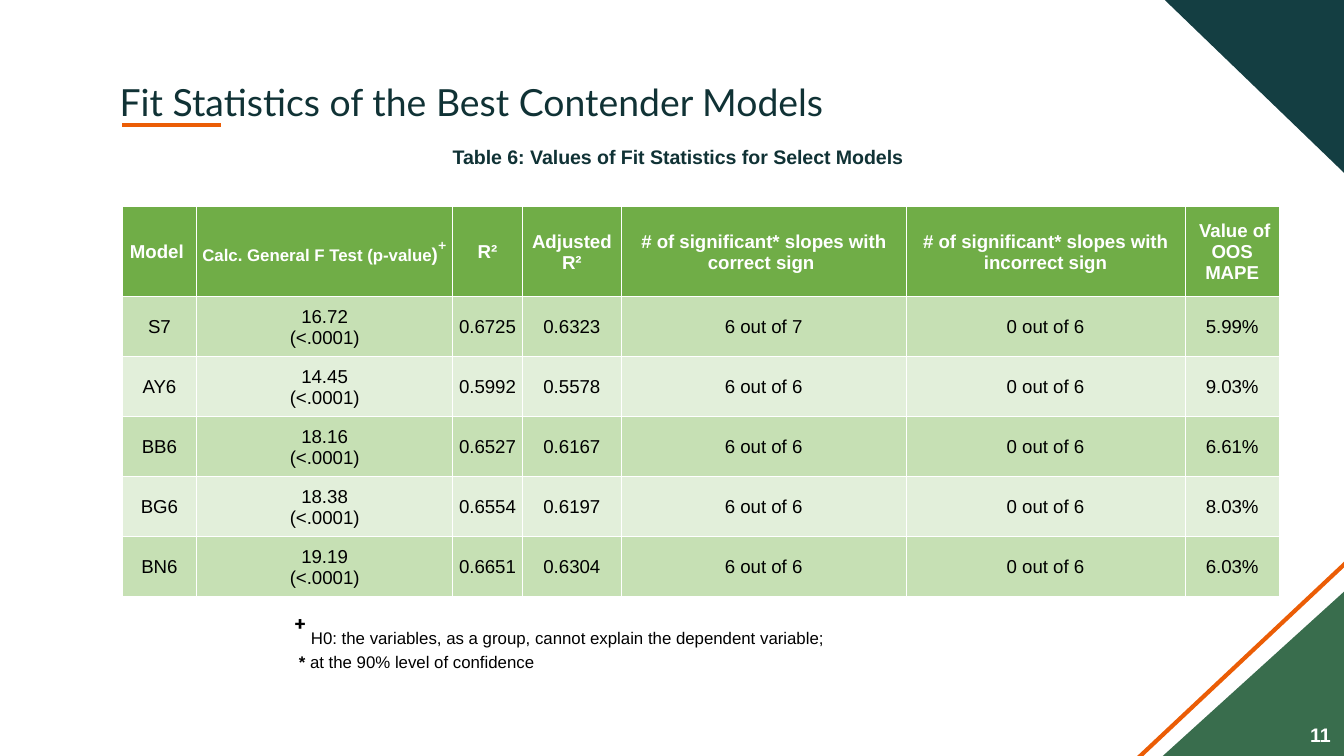
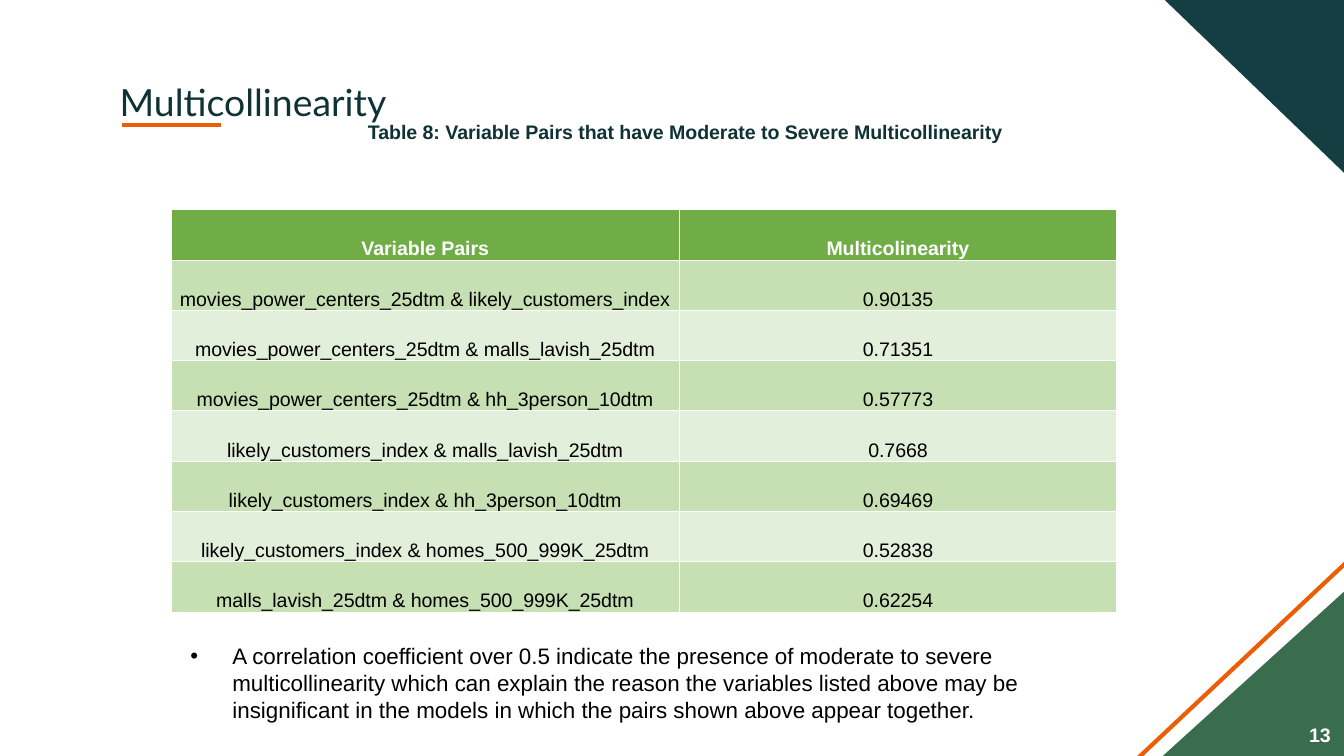
from collections import namedtuple
from dataclasses import dataclass, replace
from lxml.etree import SubElement
from pptx import Presentation
from pptx.dml.color import RGBColor
from pptx.enum.shapes import MSO_CONNECTOR, MSO_SHAPE
from pptx.enum.text import MSO_ANCHOR, PP_ALIGN
from pptx.oxml.ns import qn
from pptx.util import Pt

WHITE = RGBColor(0xFF, 0xFF, 0xFF)
BLACK = RGBColor(0x00, 0x00, 0x00)
INK = RGBColor(0x10, 0x32, 0x35)
TEAL = RGBColor(0x14, 0x3E, 0x42)
GREEN = RGBColor(0x39, 0x6D, 0x4D)
ORANGE = RGBColor(0xEB, 0x5D, 0x06)
HEADER_GREEN = RGBColor(0x70, 0xAD, 0x47)
BAND_GREENS = (RGBColor(0xC6, 0xE0, 0xB4), RGBColor(0xE2, 0xEF, 0xDA))

Box = namedtuple("Box", "left top width height")


@dataclass(frozen=True)
class Style:
    size: float
    color: RGBColor = BLACK
    bold: bool = False
    font: str = "Arial"


TITLE = Style(20, INK, font="Lato")
CAPTION = Style(10.5, INK, True)
NUMBER = Style(10.5, WHITE, True)
NOTE = Style(9)
BULLET = Style(12)
STATS_HEADER = Style(10, WHITE, True)
STATS_BODY = Style(10)
PAIRS_HEADER = Style(10.5, WHITE, True)
PAIRS_BODY = Style(10.5)

PAGE = Box(0, 0, 720, 405)

STATS_WIDTHS = (40, 137, 37.5, 53, 152.5, 149.5, 50.5)
STATS_HEADINGS = (
    "Model ",
    [
        ("Calc. General F Test (p-value", replace(STATS_HEADER, size=9)),
        (")", STATS_HEADER),
        ("⁺", replace(STATS_HEADER, size=14, bold=False)),
    ],
    "R²",
    "Adjusted R²",
    "# of significant* slopes with correct sign ",
    "# of significant* slopes with incorrect sign",
    " Value of OOS MAPE",
)
STATS_ROWS = (
    ("S7", "16.72\n(<.0001)", "0.6725", "0.6323", "6 out of 7", "0 out of 6", "5.99%"),
    ("AY6", "14.45\n(<.0001)", "0.5992", "0.5578", "6 out of 6", "0 out of 6", "9.03%"),
    ("BB6", "18.16\n(<.0001)", "0.6527", "0.6167", "6 out of 6", "0 out of 6", "6.61%"),
    ("BG6", "18.38\n(<.0001)", "0.6554", "0.6197", "6 out of 6", "0 out of 6", "8.03%"),
    ("BN6", "19.19\n(<.0001)", "0.6651", "0.6304", "6 out of 6", "0 out of 6", "6.03%"),
)
STATS_NOTES = (
    [
        ("⁺", replace(NOTE, size=18, bold=True)),
        (" H0: the variables, as a group, cannot explain the dependent variable;", NOTE),
    ],
    [
        (" ", NOTE),
        ("* ", replace(NOTE, bold=True)),
        ("at the 90% level of confidence", NOTE),
    ],
)

PAIRS_WIDTHS = (272.5, 234)
PAIRS_HEADINGS = ("Variable Pairs", "Multicolinearity")
PAIRS_ROWS = (
    ("movies_power_centers_25dtm & likely_customers_index", "0.90135"),
    ("movies_power_centers_25dtm & malls_lavish_25dtm", "0.71351"),
    ("movies_power_centers_25dtm & hh_3person_10dtm", "0.57773"),
    ("likely_customers_index & malls_lavish_25dtm", "0.7668"),
    ("likely_customers_index & hh_3person_10dtm", "0.69469"),
    ("likely_customers_index & homes_500_999K_25dtm", "0.52838"),
    ("malls_lavish_25dtm & homes_500_999K_25dtm", "0.62254"),
)
PAIRS_NOTE = (
    "A correlation coefficient over 0.5 indicate the presence of moderate to severe "
    "multicollinearity which can explain the reason the variables listed above may be "
    "insignificant in the models in which the pairs shown above appear together."
)


def in_points(box):
    return [Pt(length) for length in box]


def write_spans(para, spans):
    for text, style in spans:
        for index, line in enumerate(text.split("\n")):
            if index:
                para.add_line_break()
            span = para.add_run()
            span.text = line
            span.font.name = style.font
            span.font.size = Pt(style.size)
            span.font.bold = style.bold
            span.font.color.rgb = style.color


def add_text(page, box, paragraphs, inset=None, anchor=MSO_ANCHOR.TOP, align=PP_ALIGN.LEFT):
    frame = page.shapes.add_textbox(*in_points(box)).text_frame
    frame.word_wrap = True
    frame.vertical_anchor = anchor
    if inset is not None:
        frame.margin_left = frame.margin_right = Pt(inset)
        frame.margin_top = frame.margin_bottom = Pt(inset)
    for index, spans in enumerate(paragraphs):
        para = frame.add_paragraph() if index else frame.paragraphs[0]
        para.alignment = align
        write_spans(para, spans)
    return frame


def indent(para, left, first=0):
    para.space_before = Pt(10)
    properties = para._p.get_or_add_pPr()
    properties.set("marL", str(Pt(left)))
    properties.set("indent", str(Pt(first)))
    return properties


def add_line(page, start, end):
    line = page.shapes.add_connector(
        MSO_CONNECTOR.STRAIGHT, *in_points(start), *in_points(end))
    line.line.color.rgb = ORANGE
    line.line.width = Pt(2.25)
    SubElement(line.element.spPr, qn("a:effectLst"))


def paint(shape, color):
    shape.shadow.inherit = False
    shape.fill.solid()
    shape.fill.fore_color.rgb = color
    shape.line.fill.background()


def add_corners(page, box):
    right, bottom = box.left + box.width, box.top + box.height
    outline = page.shapes.build_freeform(Pt(right + 1.5), Pt(box.top))
    outline.add_line_segments(
        [in_points((right + 1.5, box.top + 94)), in_points((right - 96, box.top))])
    paint(outline.convert_to_shape(), TEAL)
    add_line(page, (right + 8, bottom - 110), (right - 115, bottom + 5.5))
    triangle = page.shapes.add_shape(
        MSO_SHAPE.RIGHT_TRIANGLE, *in_points((right - 102, bottom - 92.5, 107, 97)))
    triangle.element.spPr.xfrm.set("flipH", "1")
    paint(triangle, GREEN)


def add_heading(page, box, title):
    add_text(page, box, [[(title, TITLE)]], inset=7.2)
    rule = box.left + 8.5
    add_line(page, (rule, box.top + 31.7), (rule + 53, box.top + 31.7))


def add_caption(page, box, caption):
    frame = add_text(page, box, [[(caption, CAPTION)]], inset=7.2)
    indent(frame.paragraphs[0], 10)


def add_page_number(page, box, number):
    area = Box(box.left + box.width - 34.5, box.top + box.height - 22, 34.5, 21.6)
    add_text(page, area, [[(str(number), NUMBER)]],
             anchor=MSO_ANCHOR.MIDDLE, align=PP_ALIGN.RIGHT)


def add_bullet(page, box, text):
    frame = add_text(page, box, [[(text, BULLET)]])
    properties = indent(frame.paragraphs[0], 32.4, -22.5)
    color = SubElement(properties, qn("a:buClr"))
    SubElement(color, qn("a:srgbClr")).set("val", str(BLACK))
    SubElement(properties, qn("a:buFont")).set("typeface", "Arial")
    SubElement(properties, qn("a:buChar")).set("char", "•")


def add_borders(cell):
    properties = cell._tc.get_or_add_tcPr()
    for side in ("lnL", "lnR", "lnT", "lnB"):
        border = SubElement(properties, qn(f"a:{side}"))
        border.set("w", str(Pt(0.5)))
        fill = SubElement(border, qn("a:solidFill"))
        SubElement(fill, qn("a:srgbClr")).set("val", str(WHITE))


def fill_cell(cell, content, style, color, anchor):
    cell.margin_left = cell.margin_right = cell.margin_top = Pt(0.7)
    cell.margin_bottom = Pt(0)
    cell.vertical_anchor = anchor
    add_borders(cell)
    cell.fill.solid()
    cell.fill.fore_color.rgb = color
    para = cell.text_frame.paragraphs[0]
    para.alignment = PP_ALIGN.CENTER
    write_spans(para, [(content, style)] if isinstance(content, str) else content)


def add_grid(page, box, headings, rows, widths, header_height, header_style, body_style, anchor):
    grid = page.shapes.add_table(len(rows) + 1, len(widths), *in_points(box)).table
    grid.first_row = grid.horz_banding = False
    for column, width in zip(grid.columns, widths):
        column.width = Pt(width)
    row_height = (box.height - header_height) / len(rows)
    for index, content in enumerate((headings, *rows)):
        grid.rows[index].height = Pt(row_height if index else header_height)
        style = body_style if index else header_style
        color = BAND_GREENS[(index - 1) % 2] if index else HEADER_GREEN
        for cell, entry in zip(grid.rows[index].cells, content):
            fill_cell(cell, entry, style, color, anchor)


def add_page(deck, title, number):
    page = deck.slides.add_slide(deck.slide_layouts[6])
    add_corners(page, PAGE)
    add_heading(page, Box(57, 35.3, 607, 45.4), title)
    add_page_number(page, PAGE, number)
    return page


def build_fit_statistics(deck):
    page = add_page(deck, "Fit Statistics of the Best Contender Models", 11)
    add_caption(page, Box(225.4, 71.3, 270, 52.5),
                "Table 6: Values of Fit Statistics for Select Models")
    add_text(page, Box(150.5, 324, 458, 40.3), STATS_NOTES)
    add_grid(page, Box(65.4, 110.8, sum(STATS_WIDTHS), 209), STATS_HEADINGS, STATS_ROWS,
             STATS_WIDTHS, 48.2, STATS_HEADER, STATS_BODY, MSO_ANCHOR.MIDDLE)


def build_multicollinearity(deck):
    page = add_page(deck, "Multicollinearity", 13)
    add_caption(page, Box(180, 57.8, 381, 52.5),
                "Table 8: Variable Pairs that have Moderate to Severe Multicollinearity")
    add_bullet(page, Box(85, 340.6, 512.6, 51), PAIRS_NOTE)
    add_grid(page, Box(91.6, 112.4, sum(PAIRS_WIDTHS), 215.6), PAIRS_HEADINGS, PAIRS_ROWS,
             PAIRS_WIDTHS, 26.95, PAIRS_HEADER, PAIRS_BODY, MSO_ANCHOR.BOTTOM)


def main():
    deck = Presentation()
    deck.slide_width, deck.slide_height = Pt(PAGE.width), Pt(PAGE.height)
    build_fit_statistics(deck)
    build_multicollinearity(deck)
    deck.save("out.pptx")


if __name__ == "__main__":
    main()
